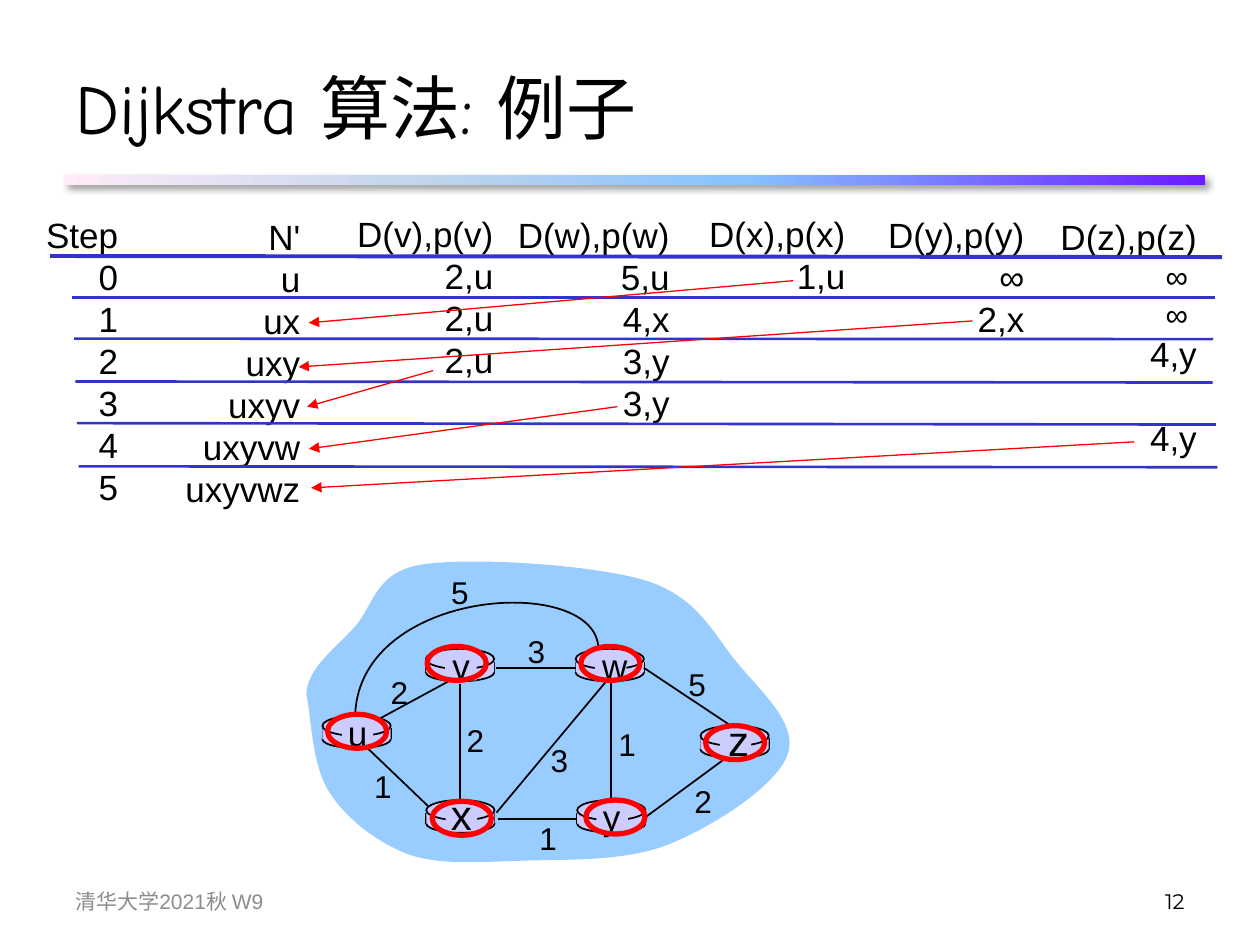
"""Build a slide that works through Dijkstra's algorithm on a six-node network."""
from lxml import etree
from pptx import Presentation
from pptx import util as u
from pptx.dml.color import RGBColor
from pptx.enum import shapes, text
from pptx.oxml import parse_xml
from pptx.oxml.ns import nsdecls, qn

BLACK = RGBColor(0x00, 0x00, 0x00)
GREY = RGBColor(0x8C, 0x8C, 0x8C)
RED = RGBColor(0xFF, 0x00, 0x00)
RULE_BLUE = RGBColor(0x33, 0x33, 0xCC)
CLOUD_BLUE = RGBColor(0x99, 0xCC, 0xFF)
LILAC = RGBColor(0xCC, 0xCC, 0xFF)
BAR_STOPS = [
    (0, RGBColor(0xFF, 0xEB, 0xFA)), (30, RGBColor(0xC4, 0xD6, 0xEB)),
    (60, RGBColor(0x85, 0xC2, 0xFF)), (100, RGBColor(0x6B, 0x19, 0xFF)),
]
LEFT, CENTER, RIGHT = text.PP_ALIGN.LEFT, text.PP_ALIGN.CENTER, text.PP_ALIGN.RIGHT
RECTANGLE, OVAL = shapes.MSO_SHAPE.RECTANGLE, shapes.MSO_SHAPE.OVAL

COLUMNS = [
    (18.4, 118.4, 56.2, ["Step", "0", "1", "2", "3", "4", "5"]),
    (98.1, 119.5, 80.6, ["N'", "u", "ux", "uxy", "uxyv", "uxyvw", "uxyvwz"]),
    (192.6, 118.1, 96.5, ["D(v),p(v)", "2,u", "2,u", "2,u"]),
    (284.7, 118.4, 105.1, ["D(w),p(w)", "5,u", "4,x", "3,y", "3,y"]),
    (393.8, 118.1, 96.5, ["D(x),p(x)", "1,u"]),
    (496, 118.4, 96.5, ["D(y),p(y)", "∞", "2,x"]),
    (596.7, 119.4, 94.3, ["D(z),p(z)", "∞ ", "∞ ", "4,y", "4,y"]),
]
RULES = [
    (28.6, 146.3, 698.4, 146.9, 2.25), (41, 170.1, 694.1, 170.1, 1.5),
    (42.3, 193.5, 693.2, 193.8, 1.5), (43.1, 218, 692.9, 218.6, 1.5),
    (43.9, 241.8, 694.8, 242.6, 1.5), (44.9, 266.5, 695.6, 267, 1.5),
]
ARROWS = [
    (453.4, 160.4, 176.4, 184.5), (555.8, 183.4, 170.6, 209.7),
    (247.5, 211.8, 175.5, 232.4), (352.8, 232.4, 176.5, 256.5),
    (648, 252.5, 177.8, 278.8),
]
CLOUD = [
    (175, 396.7), (175.7, 381.6), (191.5, 370.8), (202.3, 358.6),
    (213.8, 346.3), (213.8, 326.9), (241.2, 322.6),
    (269.3, 318.2), (339.1, 322.6), (369.4, 331.9),
    (398.9, 341.3), (407.5, 362.2), (421.2, 378.7),
    (434.9, 395.3), (456.5, 414), (450, 431.3),
    (443.5, 449.3), (407.5, 472.3), (382.3, 482.4),
    (357.1, 492.5), (324, 491), (299.5, 491.8),
    (274.3, 492.5), (252, 494.6), (233.3, 488.2),
    (214.6, 481), (197.3, 467.3), (187.9, 452.2),
    (177.8, 436.3), (177.8, 407.5), (175, 396.7),
]
ARC_U_W = [(342, 370.8), (341.3, 327.6), (205.9, 335.5), (203, 408.2)]
LINK_U_V = (217.4, 410.4, 259.9, 387.4)
LINKS = [
    (349.2, 390.2, 349.2, 455.8), (262.8, 391, 262.8, 457.9),
    (283.7, 464.4, 346.3, 389.5), (369.4, 466.6, 415.4, 432.7),
    (329.8, 468, 284.4, 468), (244.8, 460.8, 210.2, 427.7),
    (329, 381.6, 283.7, 381.6), (417.6, 414.7, 367.9, 381.6),
]
ROUTERS = [
    ("u", 184.3, 409, 20, 204.3, (187.2, 408.2)), ("y", 329.8, 457.2, 20, 349.5, (334.8, 457.2)),
    ("x", 243.6, 457.2, 24, 263.6, (247, 457.9)), ("w", 329, 370.8, 20, 350, (331.9, 369.4)),
    ("v", 243.4, 370.8, 20, 263.5, (244.1, 369.4)), ("z", 400.3, 414.7, 24, 422, (403.2, 414.7)),
]
WEIGHTS = [
    ("2", 216, 380.9), ("2", 259.4, 408.4), ("1", 206.6, 434.9), ("3", 307.4, 419.8),
    ("1", 301, 464.2), ("1", 346.2, 410.6), ("2", 389.5, 443.5), ("5", 386.1, 376.6),
    ("3", 294.3, 357.8), ("5", 250.5, 324.2),
]


class Canvas:
    """Hold the text style and the current slide, and draw each kind of element."""

    def __init__(self, slide, font="Arial"):
        """Keep the slide and its main font."""
        self.slide, self.font = slide, font

    def run(self, paragraph, words, size, color=BLACK, font=None):
        """Add one formatted run to a paragraph."""
        run = paragraph.add_run()
        run.text = words
        run.font.size, run.font.name = u.Pt(size), font or self.font
        run.font.color.rgb = color

    def title(self, words):
        """Place and format the title placeholder."""
        title = self.slide.shapes.title
        title.left, title.top, title.width, title.height = (u.Pt(v) for v in (36, 21.6, 648, 78.5))
        title.text_frame.vertical_anchor = text.MSO_ANCHOR.MIDDLE
        paragraph = title.text_frame.paragraphs[0]
        paragraph.alignment = LEFT
        self.run(paragraph, words, 40, font="Comic Neue")

    def box(self, x, y, width, height, align, wrap=False):
        """Add an empty text box and return it with its first paragraph."""
        box = self.slide.shapes.add_textbox(u.Pt(x), u.Pt(y), u.Pt(width), u.Pt(height))
        box.text_frame.word_wrap = wrap
        if not wrap:
            box.text_frame.auto_size = text.MSO_AUTO_SIZE.SHAPE_TO_FIT_TEXT
        paragraph = box.text_frame.paragraphs[0]
        paragraph.alignment = align
        return box, paragraph

    def label(self, words, x, y, width, size):
        """Add a centred one-line label."""
        self.run(self.box(x, y, width, size * 1.2 + 7.2, CENTER)[1], words, size)

    def footer(self, words, x, align, color, font=None):
        """Add a footer text at the bottom of the slide."""
        box, paragraph = self.box(x, 500.4, 167.8, 28.8, align, wrap=True)
        box.text_frame.vertical_anchor = text.MSO_ANCHOR.MIDDLE
        self.run(paragraph, words, 12, color, font)

    def column(self, x, y, width, rows):
        """Add one right-aligned column of the step table."""
        box, paragraph = self.box(x, y, width, 24 * len(rows) + 7.2, RIGHT)
        for index, words in enumerate(rows):
            if index:
                paragraph = box.text_frame.add_paragraph()
                paragraph.alignment = RIGHT
            self.run(paragraph, words, 18 if words == "∞ " else 20)
        if rows[0] == "D(z),p(z)":
            paragraph.space_before = u.Pt(24)

    def style(self, shape, fill=None, line=None, weight=1):
        """Set the fill and line of a shape, and drop its shadow."""
        shape.shadow.inherit = False
        if fill is None:
            shape.fill.background()
        else:
            shape.fill.solid()
            shape.fill.fore_color.rgb = fill
        if line is None:
            shape.line.fill.background()
        else:
            shape.line.color.rgb, shape.line.width = line, u.Pt(weight)

    def shape(self, kind, x, y, width, height, fill=None, line=None, weight=1):
        """Add a preset shape."""
        shape = self.slide.shapes.add_shape(kind, u.Pt(x), u.Pt(y), u.Pt(width), u.Pt(height))
        self.style(shape, fill, line, weight)
        return shape

    def curve(self, points, fill=None, line=None, closed=False):
        """Add a freeform whose points form a chain of cubic Bezier segments."""
        start, *others = [(u.Pt(x), u.Pt(y)) for x, y in points]
        builder = self.slide.shapes.build_freeform(*start, scale=1.0)
        builder.add_line_segments(others, close=closed)
        shape = builder.convert_to_shape()
        segments = list(shape._element.iter(qn("a:lnTo")))
        for first, second, third in zip(*[iter(segments)] * 3):
            bezier = etree.Element(qn("a:cubicBezTo"))
            first.addprevious(bezier)
            for segment in (first, second, third):
                bezier.append(segment[0])
                segment.getparent().remove(segment)
        self.style(shape, fill, line)

    def line(self, x1, y1, x2, y2, weight=1, color=BLACK, arrow=False):
        """Add a straight line, with an arrowhead at its end if asked."""
        line = self.slide.shapes.add_connector(
            shapes.MSO_CONNECTOR.STRAIGHT, u.Pt(x1), u.Pt(y1), u.Pt(x2), u.Pt(y2))
        line.line.color.rgb, line.line.width = color, u.Pt(weight)
        if arrow:
            etree.SubElement(line.line._get_or_add_ln(), qn("a:tailEnd"), type="triangle")
        etree.SubElement(line._element.spPr, qn("a:effectLst"))

    def bar(self):
        """Add the gradient bar with a soft shadow below the title."""
        bar = self.shape(RECTANGLE, 36.7, 100.1, 652, 5.8, fill=LILAC)
        stops = "".join(f'<a:gs pos="{place * 1000}"><a:srgbClr val="{color}"/></a:gs>'
                        for place, color in BAR_STOPS)
        properties = bar._element.spPr
        properties.replace(properties.find(qn("a:solidFill")), parse_xml(
            f'<a:gradFill {nsdecls("a")}><a:gsLst>{stops}</a:gsLst><a:lin ang="0" scaled="0"/></a:gradFill>'))
        properties.find(qn("a:effectLst")).append(parse_xml(
            f'<a:outerShdw {nsdecls("a")} blurRad="{u.Pt(4)}" dist="{u.Pt(3)}" dir="2700000">'
            '<a:srgbClr val="000000"><a:alpha val="40000"/></a:srgbClr></a:outerShdw>'))

    def router(self, x, y):
        """Add a flat cylinder."""
        self.shape(OVAL, x, y + 8.5, 39, 10, LILAC, BLACK)
        for side in (x, x + 39):
            self.line(side, y + 7.2, side, y + 13.5)
        self.shape(RECTANGLE, x, y + 7.2, 39, 6.3, LILAC)
        self.shape(OVAL, x, y, 39, 11.5, LILAC, BLACK)

    def router_name(self, name, x, y, size, center):
        """Add the letter of a router on a plain patch."""
        self.shape(RECTANGLE, x + 11, y + 1.4, 18, 16.6, LILAC)
        self.label(name, center - 13, y - (6 if size == 20 else 10), 26, size)


def main():
    """Draw the slide and save it."""
    presentation = Presentation()
    presentation.slide_width, presentation.slide_height = u.Pt(720), u.Pt(540)
    canvas = Canvas(presentation.slides.add_slide(presentation.slide_layouts[5]))
    canvas.bar()
    canvas.title("Dijkstra 算法: 例子")
    canvas.footer("清华大学2021秋 W9", 36, LEFT, GREY)
    canvas.footer("12", 516.2, RIGHT, BLACK, "Montserrat")
    for column in COLUMNS:
        canvas.column(*column)
    for rule in RULES:
        canvas.line(*rule, color=RULE_BLUE)
    canvas.curve(CLOUD, fill=CLOUD_BLUE, closed=True)
    canvas.line(*LINK_U_V)
    for _, x, y, *_ in ROUTERS:
        canvas.router(x, y)
    for link in LINKS:
        canvas.line(*link)
    canvas.curve(ARC_U_W, line=BLACK)
    for *name, _ in ROUTERS:
        canvas.router_name(*name)
    for weight, x, y in WEIGHTS:
        canvas.label(weight, x, y, 24.5, 18)
    for arrow in ARROWS:
        canvas.line(*arrow, weight=0.75, color=RED, arrow=True)
    for *_, ring in ROUTERS:
        canvas.shape(OVAL, *ring, 33.8, 19.4, line=RED, weight=3)
    presentation.save("out.pptx")


if __name__ == "__main__":
    main()
